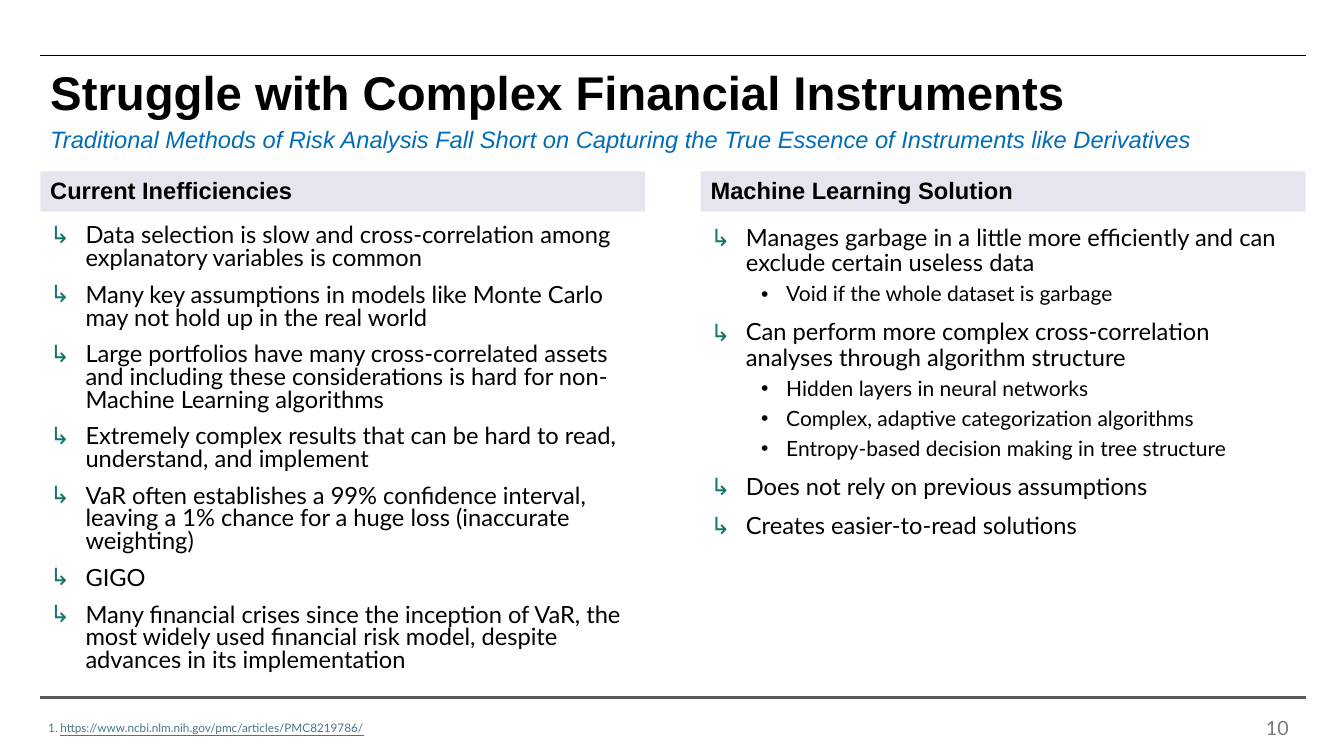
from dataclasses import dataclass

from lxml.etree import SubElement
from pptx import Presentation
from pptx.dml.color import RGBColor
from pptx.enum.shapes import MSO_CONNECTOR, MSO_SHAPE
from pptx.enum.text import MSO_ANCHOR, PP_ALIGN
from pptx.oxml.ns import qn
from pptx.slide import Slide
from pptx.text.text import TextFrame
from pptx.util import Inches, Pt

COLORS = {
    "black": "000000",
    "band": "E6E5EF",
    "subtitle": "016DB7",
    "arrow": "117569",
    "link": "467886",
    "page": "797979",
    "footer_rule": "59595A",
}
LEFT, RIGHT = 0.4, 12.95
COLUMN_WIDTH = 6
BODY_SIZE = 16.9


@dataclass(frozen=True)
class Bullet:
    """List marker with its indent; an empty char means automatic numbering."""
    indent: float
    hanging: float
    char: str = ""
    color: str = ""
    font: str = "Lato"


@dataclass(frozen=True)
class Point:
    text: str
    level: int = 0


@dataclass(frozen=True)
class Column:
    left: float
    heading: str
    line_spacing: float
    points: tuple[Point, ...]


@dataclass(frozen=True)
class Rule:
    y: float
    color: str
    width: float


NUMBERED = Bullet(0.12, 0.12)
LEVEL_BULLETS = (
    Bullet(0.35, 0.35, "↳", "arrow"),
    Bullet(0.75, 0.25, "•", font="Arial"),
)
LEVEL_SIZES = (BODY_SIZE, 15)
LEVEL_GAPS = (10, 5)

RULES = (Rule(6.92, "footer_rule", 1.5), Rule(0.55, "black", 1))

COLUMNS = (
    Column(LEFT, "Current Inefficiencies", 0.8, (
        Point("Data selection is slow and cross-correlation among explanatory variables is common"),
        Point("Many key assumptions in models like Monte Carlo may not hold up in the real world"),
        Point("Large portfolios have many cross-correlated assets and including these "
              "considerations is hard for non-Machine Learning algorithms"),
        Point("Extremely complex results that can be hard to read, understand, and implement"),
        Point("VaR often establishes a 99% confidence interval, leaving a 1% chance for a huge "
              "loss (inaccurate weighting)"),
        Point("GIGO"),
        Point("Many financial crises since the inception of VaR, the most widely used financial "
              "risk model, despite advances in its implementation"),
    )),
    Column(RIGHT - COLUMN_WIDTH, "Machine Learning Solution", 0.9, (
        Point("Manages garbage in a little more efficiently and can exclude certain useless data"),
        Point("Void if the whole dataset is garbage", 1),
        Point("Can perform more complex cross-correlation analyses through algorithm structure"),
        Point("Hidden layers in neural networks", 1),
        Point("Complex, adaptive categorization algorithms", 1),
        Point("Entropy-based decision making in tree structure", 1),
        Point("Does not rely on previous assumptions"),
        Point("Creates easier-to-read solutions"),
    )),
)


def rgb(name: str) -> RGBColor:
    return RGBColor.from_string(COLORS[name])


def add_text(frame: TextFrame, text: str, *, size: float = BODY_SIZE, font: str = "Arial",
             color: str = "black", bold: bool = False, italic: bool = False,
             underline: bool = False, align: PP_ALIGN = PP_ALIGN.LEFT, level: int = 0,
             line_spacing: float = 0.9, space_before: float = 0,
             bullet: Bullet | None = None) -> None:
    """Fill the frame's first paragraph, or append one when it is taken."""
    paragraph = frame.paragraphs[0] if not frame.text else frame.add_paragraph()
    paragraph.alignment = align
    paragraph.level = level
    paragraph.line_spacing = line_spacing
    paragraph.space_before = Pt(space_before)
    if bullet:
        properties = paragraph._p.get_or_add_pPr()
        properties.set("marL", str(Inches(bullet.indent)))
        properties.set("indent", str(-Inches(bullet.hanging)))
        if bullet.color:
            marker_color = SubElement(properties, qn("a:buClr"))
            SubElement(marker_color, qn("a:srgbClr"), val=COLORS[bullet.color])
        SubElement(properties, qn("a:buFont"), typeface=bullet.font)
        if bullet.char:
            SubElement(properties, qn("a:buChar"), char=bullet.char)
        else:
            SubElement(properties, qn("a:buAutoNum"), type="arabicPeriod")
    run = paragraph.add_run()
    run.text = text
    run.font.size = Pt(size)
    run.font.name = font
    run.font.color.rgb = rgb(color)
    run.font.bold = bold
    run.font.italic = italic
    run.font.underline = underline


def add_frame(slide: Slide, left: float, top: float, width: float, height: float,
              anchor: MSO_ANCHOR = MSO_ANCHOR.TOP) -> TextFrame:
    box = slide.shapes.add_textbox(Inches(left), Inches(top), Inches(width), Inches(height))
    box.text_frame.word_wrap = True
    box.text_frame.vertical_anchor = anchor
    return box.text_frame


def add_rule(slide: Slide, rule: Rule) -> None:
    line = slide.shapes.add_connector(MSO_CONNECTOR.STRAIGHT, Inches(LEFT), Inches(rule.y),
                                      Inches(RIGHT), Inches(rule.y))
    line.line.color.rgb = rgb(rule.color)
    line.line.width = Pt(rule.width)
    SubElement(line._element.spPr, qn("a:effectLst"))


def add_column(slide: Slide, column: Column) -> None:
    band = slide.shapes.add_shape(MSO_SHAPE.RECTANGLE, Inches(column.left), Inches(1.7),
                                  Inches(COLUMN_WIDTH), Inches(0.4))
    band.shadow.inherit = False
    band.fill.solid()
    band.fill.fore_color.rgb = rgb("band")
    band.line.fill.background()
    band.text_frame.word_wrap = True
    band.text_frame.vertical_anchor = MSO_ANCHOR.MIDDLE
    add_text(band.text_frame, column.heading, bold=True, space_before=10)

    body = add_frame(slide, column.left, 2.19, COLUMN_WIDTH, 4.61)
    for point in column.points:
        add_text(body, point.text, size=LEVEL_SIZES[point.level], font="Lato",
                 level=point.level, line_spacing=column.line_spacing,
                 space_before=LEVEL_GAPS[point.level], bullet=LEVEL_BULLETS[point.level])


def main() -> None:
    presentation = Presentation()
    presentation.slide_width, presentation.slide_height = Inches(13.33), Inches(7.5)
    slide = presentation.slides.add_slide(presentation.slide_layouts[6])

    for rule in RULES:
        add_rule(slide, rule)
    add_text(add_frame(slide, 9.88, 7.02, 3, 0.4, MSO_ANCHOR.MIDDLE), "10", size=14,
             font="Lato", color="page", align=PP_ALIGN.RIGHT, line_spacing=1)
    add_text(add_frame(slide, 0.38, 7.1, 9.56, 0.24, MSO_ANCHOR.BOTTOM),
             "https://www.ncbi.nlm.nih.gov/pmc/articles/PMC8219786/", size=8.4,
             font="Lato", color="link", underline=True, bullet=NUMBERED)
    for column in COLUMNS:
        add_column(slide, column)
    add_text(add_frame(slide, LEFT, 0.62, 12.53, 0.65, MSO_ANCHOR.MIDDLE),
             "Struggle with Complex Financial Instruments", size=33.8, bold=True)
    add_text(add_frame(slide, LEFT, 1.22, 12.54, 0.38),
             "Traditional Methods of Risk Analysis Fall Short on Capturing the True Essence "
             "of Instruments like Derivatives", color="subtitle", italic=True, space_before=10)

    presentation.save("out.pptx")


if __name__ == "__main__":
    main()
